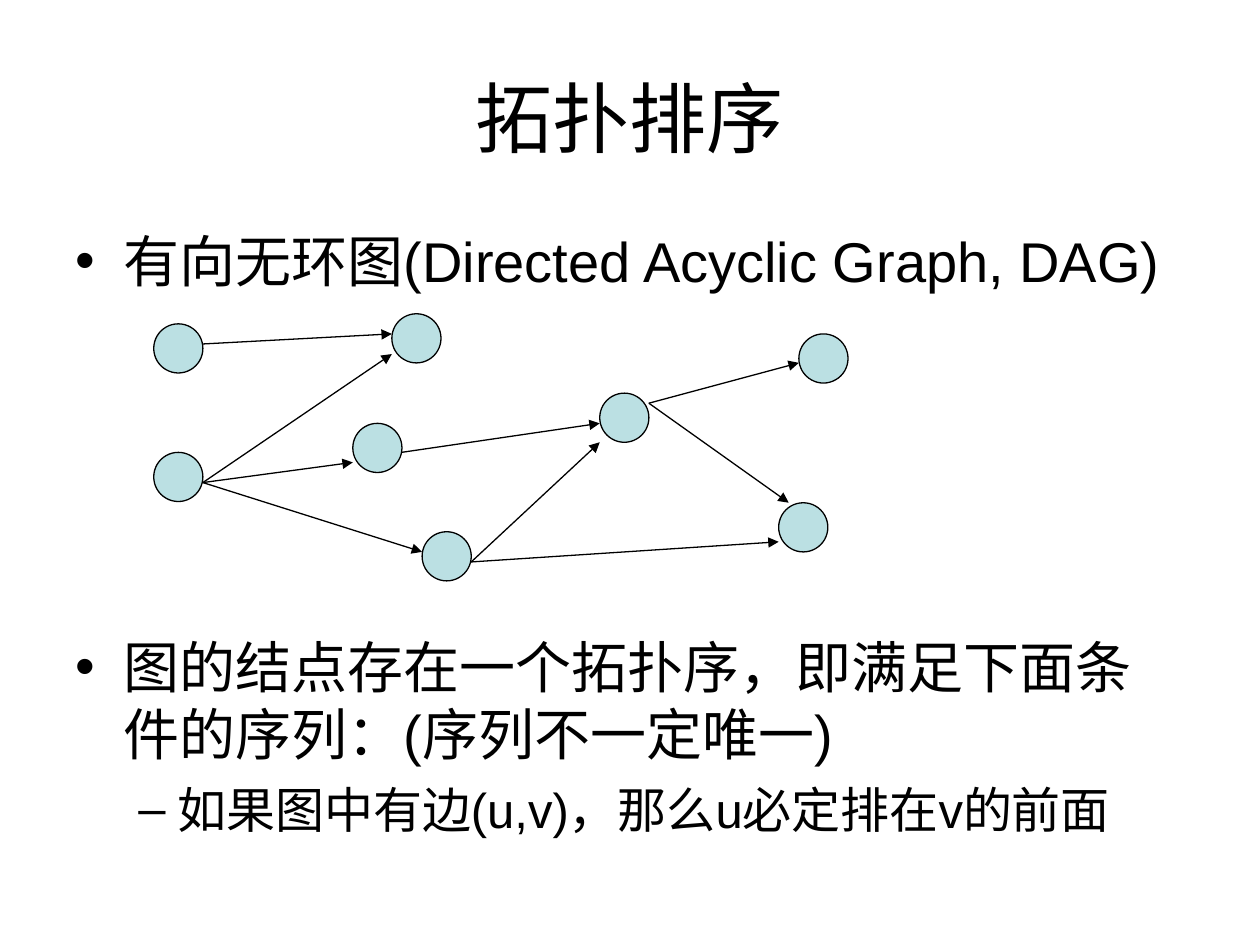
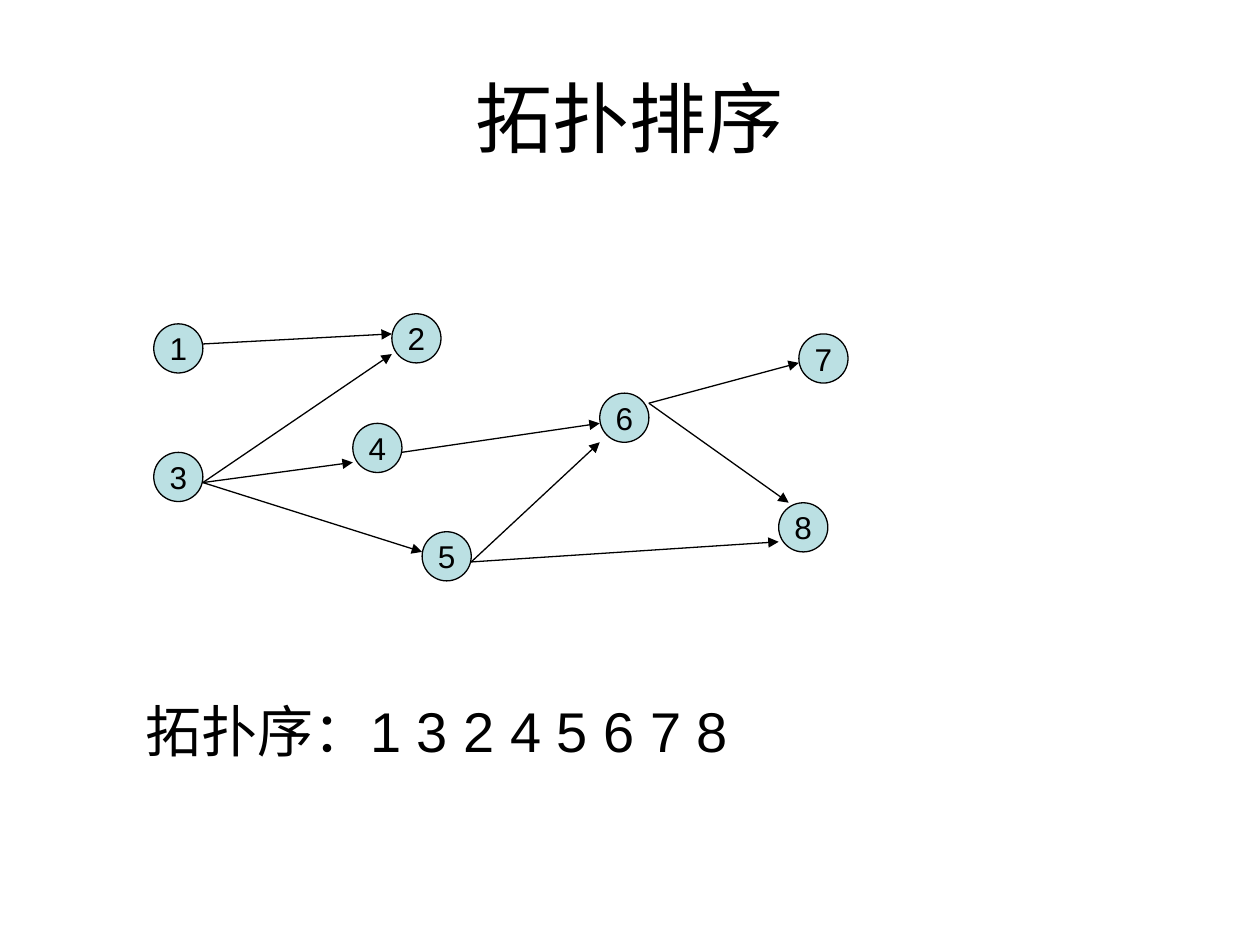
from dataclasses import dataclass

from lxml import etree
from pptx import Presentation, util as u
from pptx.dml.color import RGBColor
from pptx.enum import lang, shapes, text
from pptx.oxml.ns import qn


@dataclass(frozen=True)
class Theme:
    font: str = "Arial"
    ink: RGBColor = RGBColor(0, 0, 0)
    node: RGBColor = RGBColor(0xBB, 0xE0, 0xE3)
    head: int = 44
    body: int = 32
    sub: int = 28
    label: int = 18
    line: float = 0.75


SIZE = 0.39
NODES = {
    1: (1.22, 2.57), 2: (3.11, 2.49), 3: (1.22, 3.59), 4: (2.8, 3.36),
    5: (3.35, 4.22), 6: (4.76, 3.12), 7: (6.34, 2.65), 8: (6.18, 3.99),
}
EXITS = {1: 0.16, 3: 0.24, 4: 0.23, 5: 0.24, 6: 0.08}
EDGES = [
    (1, 2, 0, 0.16), (3, 2, 0, 0.32), (3, 4, 0, 0.31),
    (3, 5, 0, 0.16), (4, 6, 0, 0.24), (5, 6, 0, 0.39),
    (5, 8, 0, 0.31), (6, 7, 0, 0.23), (6, 8, 0.08, 0),
]
LEVELS = [("•", 0.38, -0.38, 8), ("–", 0.81, -0.31, 7)]


class Deck:
    def __init__(self, theme):
        self.theme = theme
        self.show = Presentation()
        self.show.slide_width = u.Inches(10)
        self.show.slide_height = u.Inches(7.5)
        self.slide = None

    def page(self, title):
        self.slide = self.show.slides.add_slide(self.show.slide_layouts[6])
        frame = self.box(0.5, 0.3, 9, 1.25)
        frame.vertical_anchor = text.MSO_ANCHOR.MIDDLE
        para = frame.paragraphs[0]
        para.alignment = text.PP_ALIGN.CENTER
        self.run(para, title, self.theme.head)

    def box(self, left, top, width, height):
        area = map(u.Inches, (left, top, width, height))
        frame = self.slide.shapes.add_textbox(*area).text_frame
        frame.word_wrap = True
        return frame

    def run(self, para, words, size):
        run = para.add_run()
        run.text = words
        font = run.font
        font.name = self.theme.font
        font.size = u.Pt(size)
        font.color.rgb = self.theme.ink
        font.language_id = lang.MSO_LANGUAGE_ID.SIMPLIFIED_CHINESE

    def line(self, words, *area):
        frame = self.box(*area)
        self.run(frame.paragraphs[0], words, self.theme.body)

    def list(self, items, *area):
        frame = self.box(*area)
        for spot, (level, words) in enumerate(items):
            para = frame.add_paragraph() if spot else frame.paragraphs[0]
            mark, left, hang, gap = LEVELS[level]
            props = para._p.get_or_add_pPr()
            props.set("marL", str(u.Inches(left)))
            props.set("indent", str(u.Inches(hang)))
            etree.SubElement(props, qn("a:buFont"), typeface=self.theme.font)
            etree.SubElement(props, qn("a:buChar"), char=mark)
            para.level = level
            if spot:
                para.space_before = u.Pt(gap)
            self.run(para, words, (self.theme.body, self.theme.sub)[level])

    def node(self, left, top, label):
        area = map(u.Inches, (left, top, SIZE, SIZE))
        disc = self.slide.shapes.add_shape(shapes.MSO_SHAPE.OVAL, *area)
        disc.shadow.inherit = False
        disc.fill.solid()
        disc.fill.fore_color.rgb = self.theme.node
        disc.line.color.rgb = self.theme.ink
        disc.line.width = u.Pt(self.theme.line)
        if label:
            frame = disc.text_frame
            frame.word_wrap = False
            frame.vertical_anchor = text.MSO_ANCHOR.MIDDLE
            para = frame.paragraphs[0]
            para.alignment = text.PP_ALIGN.CENTER
            self.run(para, label, self.theme.label)

    def arrow(self, *ends):
        link = self.slide.shapes.add_connector(
            shapes.MSO_CONNECTOR.STRAIGHT, *map(u.Inches, ends))
        link.line.color.rgb = self.theme.ink
        link.line.width = u.Pt(self.theme.line)
        etree.SubElement(link.line._get_or_add_ln(), qn("a:tailEnd"), type="triangle")
        etree.SubElement(link._element.spPr, qn("a:effectLst"))

    def graph(self, named):
        for name, (left, top) in NODES.items():
            self.node(left, top, str(name) if named else "")
        for start, end, right, down in EDGES:
            left, top = NODES[start]
            goal_x, goal_y = NODES[end]
            self.arrow(left + SIZE, top + EXITS[start], goal_x + right, goal_y + down)


def main():
    deck = Deck(Theme())
    title = "拓扑排序"

    deck.page(title)
    deck.list([(0, "有向无环图(Directed Acyclic Graph, DAG)")], 0.5, 1.75, 9, 0.65)
    deck.list([
        (0, "图的结点存在一个拓扑序，即满足下面条件的序列：(序列不一定唯一)"),
        (1, "如果图中有边(u,v)，那么u必定排在v的前面"),
    ], 0.5, 4.97, 9, 1.73)
    deck.graph(False)

    deck.page(title)
    deck.graph(True)
    deck.line("拓扑序：1 3 2 4 5 6 7 8", 1.06, 5.48, 5.43, 0.64)

    deck.show.save("out.pptx")


if __name__ == "__main__":
    main()
